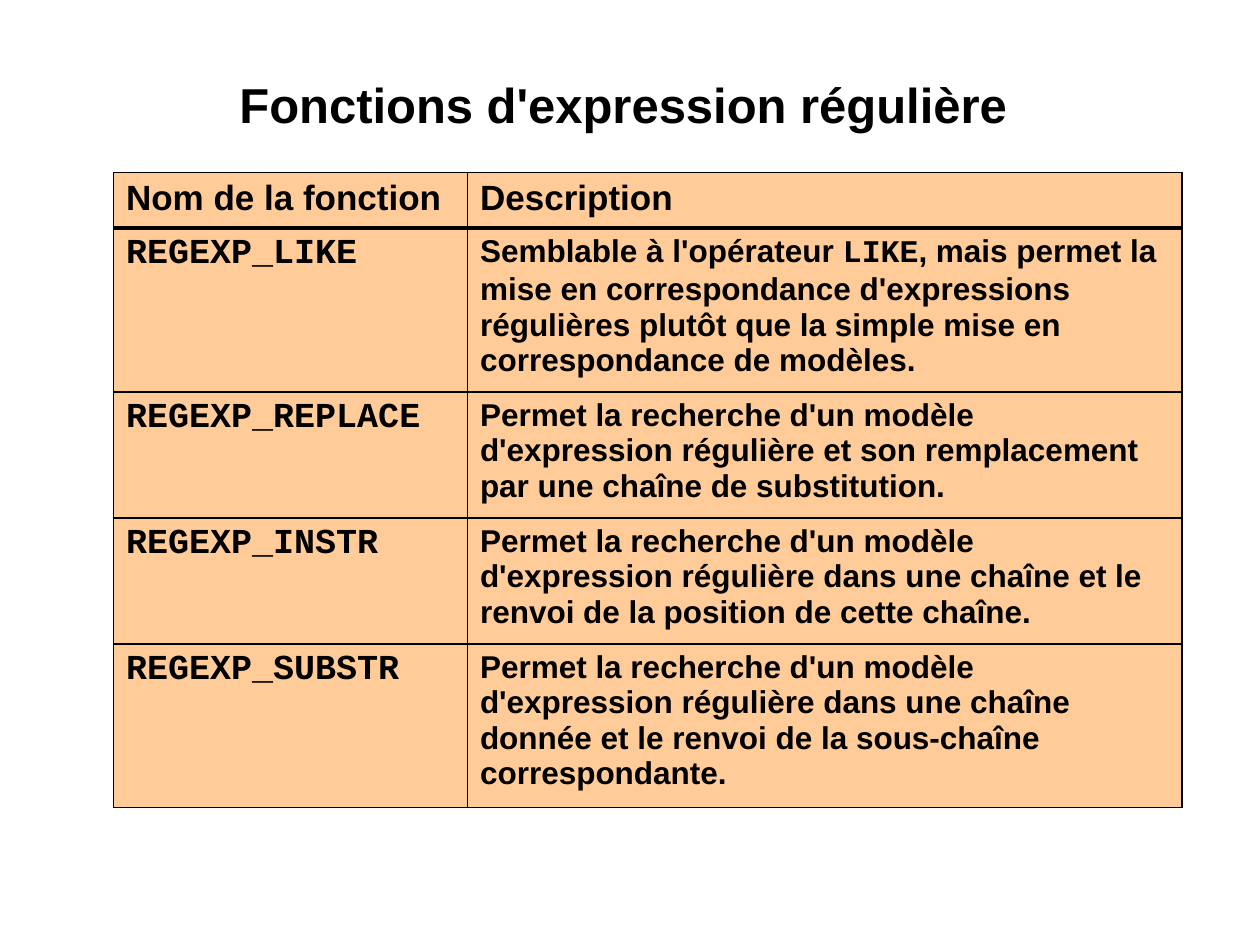
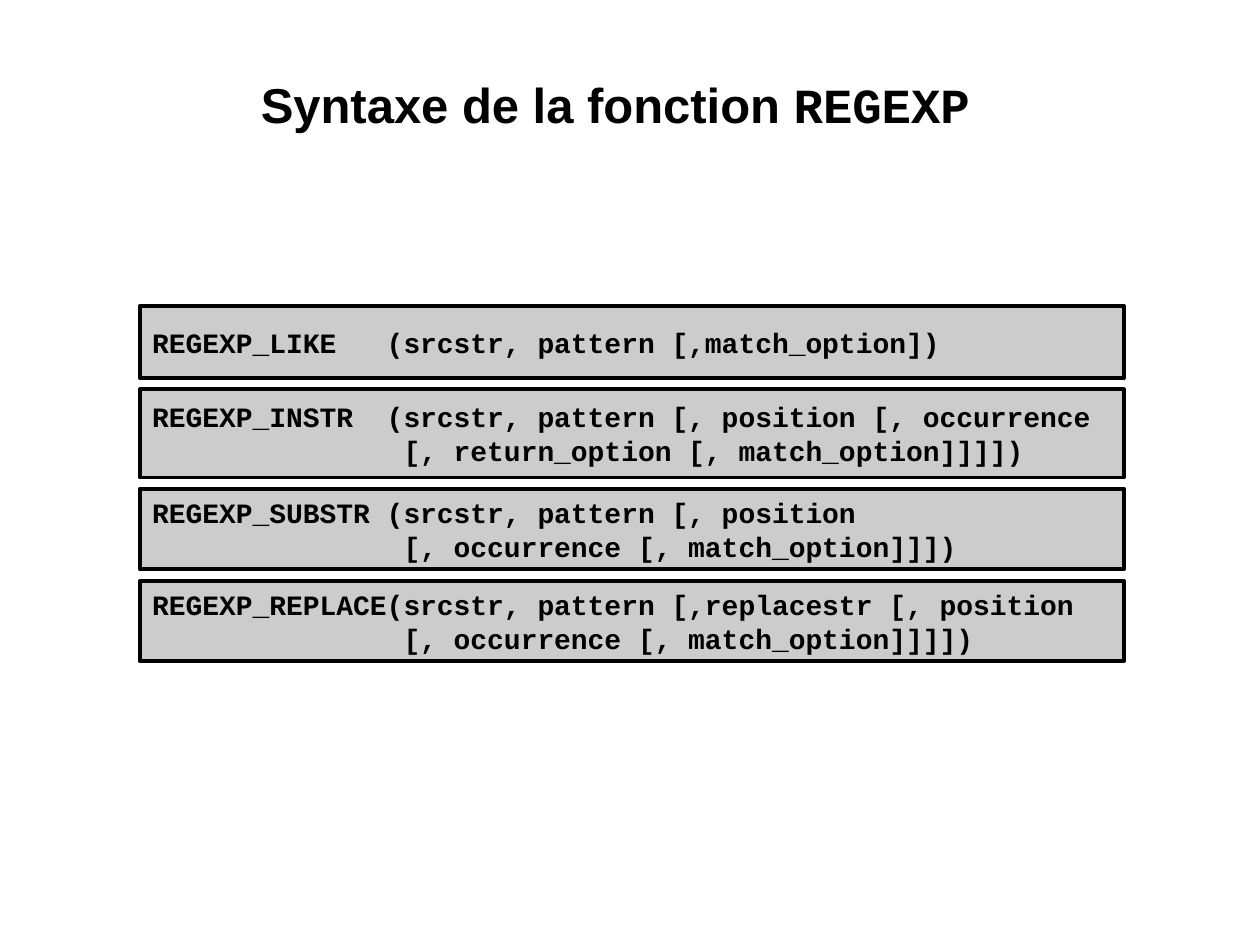
from lxml import etree
from pptx import Presentation
from pptx.dml.color import RGBColor
from pptx.enum.shapes import MSO_SHAPE
from pptx.enum.text import MSO_ANCHOR, MSO_AUTO_SIZE, PP_ALIGN
from pptx.oxml.ns import qn
from pptx.util import Inches, Pt

RECT = MSO_SHAPE.RECTANGLE
TOP, MIDDLE = MSO_ANCHOR.TOP, MSO_ANCHOR.MIDDLE
LEFT, CENTER = PP_ALIGN.LEFT, PP_ALIGN.CENTER
NO_FIT = MSO_AUTO_SIZE.NONE

BLACK = RGBColor(0x00, 0x00, 0x00)
PEACH = RGBColor(0xFF, 0xCC, 0x99)
GREY = RGBColor(0xCC, 0xCC, 0xCC)
SANS, MONO = "Arial", "Courier New"


def write(para, parts, size):
    """Fill a paragraph with bold black (text, font) parts."""
    for text, face in parts:
        run = para.add_run()
        run.text = text
        run.font.name = face
        run.font.size = Pt(size)
        run.font.bold = True
        run.font.color.rgb = BLACK


def add_slide(parts):
    """Add a slide with its centred title."""
    slide = prs.slides.add_slide(prs.slide_layouts[5])
    title = slide.shapes.title
    title.left, title.top = Inches(1), Inches(0.58)
    title.width, title.height = Inches(8), Inches(0.96)
    frame = title.text_frame
    frame.auto_size = NO_FIT
    frame.vertical_anchor = TOP
    frame.margin_left = frame.margin_right = Inches(0.01)
    frame.margin_top = frame.margin_bottom = Inches(0.01)
    para = frame.paragraphs[0]
    para.alignment = CENTER
    write(para, parts, 28)
    return slide


prs = Presentation()
prs.slide_width, prs.slide_height = Inches(10), Inches(7.5)

# Slide 1: table of functions
slide = add_slide([("Fonctions d'expression régulière ", SANS)])
rows = [
    (0.44, "Nom de la fonction", [("Description", SANS)]),
    (1.3, "REGEXP_LIKE", [
        ("Semblable à l'opérateur ", SANS),
        ("LIKE", MONO),
        (", mais permet la mise en correspondance d'expressions régulières "
         "plutôt que la simple mise en correspondance de modèles.", SANS)]),
    (1, "REGEXP_REPLACE", [
        ("Permet la recherche d'un modèle d'expression régulière et son "
         "remplacement par une chaîne de substitution.", SANS)]),
    (1, "REGEXP_INSTR", [
        ("Permet la recherche d'un modèle d'expression régulière dans une "
         "chaîne et le renvoi de la position de cette chaîne.", SANS)]),
    (1.3, "REGEXP_SUBSTR", [
        ("Permet la recherche d'un modèle d'expression régulière dans une "
         "chaîne donnée et le renvoi de la sous-chaîne correspondante.", SANS)]),
]
table = slide.shapes.add_table(len(rows), 2, Inches(0.9), Inches(1.37),
                               Inches(8.48), Inches(5.04)).table
table.horz_banding = False
table.columns[0].width = Inches(2.81)
table.columns[1].width = Inches(5.67)

for i, (height, name, about) in enumerate(rows):
    table.rows[i].height = Inches(height)
    head = i == 0
    table_row = [([(name, SANS if head else MONO)], 20),
                 (about, 20 if head else 18)]
    for j, (parts, size) in enumerate(table_row):
        cell = table.cell(i, j)
        write(cell.text_frame.paragraphs[0], parts, size)
        # Cell borders, thicker under the header
        props = cell._tc.get_or_add_tcPr()
        for side in "LRTB":
            thick = (i, side) in ((0, "B"), (1, "T"))
            line = etree.SubElement(props, qn("a:ln" + side),
                                    w=str(Pt(2.21 if thick else 1.08)))
            fill = etree.SubElement(line, qn("a:solidFill"))
            etree.SubElement(fill, qn("a:srgbClr"), val=str(BLACK))
        cell.fill.solid()
        cell.fill.fore_color.rgb = PEACH

# Slide 2: syntax boxes
slide = add_slide([("Syntaxe de la fonction ", SANS), ("REGEXP ", MONO)])
boxes = [
    (0.57, ["REGEXP_LIKE   (srcstr, pattern [,match_option])"]),
    (0.7, ["REGEXP_INSTR  (srcstr, pattern [, position [, occurrence",
           "               [, return_option [, match_option]]]])"]),
    (0.64, ["REGEXP_SUBSTR (srcstr, pattern [, position",
            "               [, occurrence [, match_option]]])"]),
    (0.64, ["REGEXP_REPLACE(srcstr, pattern [,replacestr [, position",
            "               [, occurrence [, match_option]]]])"]),
]
top, gap = 2.43, 0.09
for height, lines in boxes:
    box = slide.shapes.add_shape(RECT, Inches(1.11), Inches(top),
                                 Inches(7.81), Inches(height))
    box.shadow.inherit = False
    box.fill.solid()
    box.fill.fore_color.rgb = GREY
    box.line.color.rgb = BLACK
    box.line.width = Pt(2.25)
    frame = box.text_frame
    frame.word_wrap = True
    frame.vertical_anchor = MIDDLE
    frame.margin_left = frame.margin_right = Inches(0.1)
    frame.margin_top = frame.margin_bottom = Inches(0.01)
    for n, code in enumerate(lines):
        para = frame.add_paragraph() if n else frame.paragraphs[0]
        para.alignment = LEFT
        write(para, [(code, MONO)], 16)
    top += height + gap

prs.save("out.pptx")
